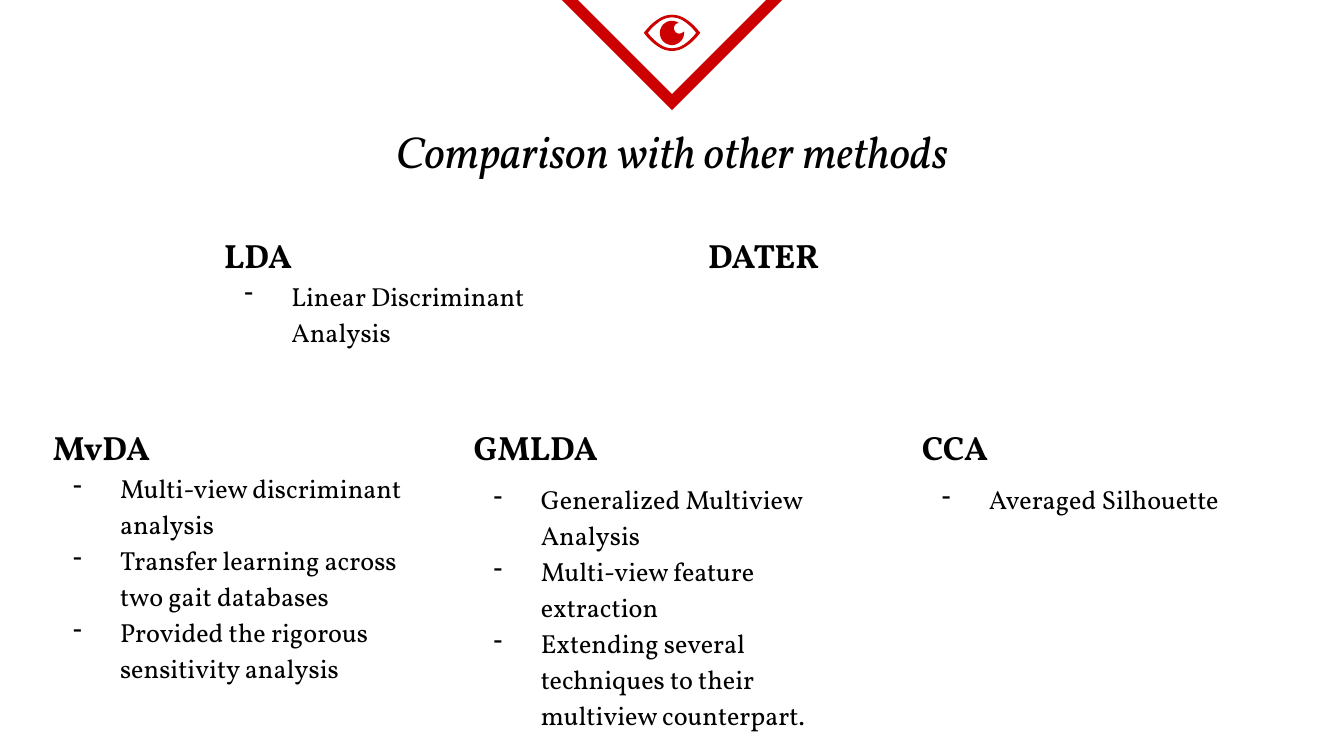
from math import cos, radians, sin

from lxml import etree
from pptx import Presentation
from pptx.dml.color import RGBColor
from pptx.enum.shapes import MSO_SHAPE
from pptx.enum.text import MSO_ANCHOR, PP_ALIGN
from pptx.oxml.ns import qn
from pptx.util import Inches, Pt

TRI = MSO_SHAPE.ISOSCELES_TRIANGLE
TOP = MSO_ANCHOR.TOP
LEFT, MID = PP_ALIGN.LEFT, PP_ALIGN.CENTER

WIDE = 10
HIGH = WIDE * 9 / 16
HUES = {"red": "CC0000", "ink": "000000"}
FACE = "Vollkorn"
FORMS = {
    "title": {"size": Pt(24), "italic": True, "bold": False},
    "head": {"size": Pt(18), "bold": True},
    "item": {"size": Pt(14), "bold": False},
}

# Rows as shares of the height, columns as shares of the width
ROWS = {"upper": 1.605 / HIGH, "lower": 3.035 / HIGH}
COL = 0.288
# row, left, height in inches, space before the list, head, items
CARDS = [
    ("upper", 0.157, 1.43, 0, "LDA", ["Linear Discriminant Analysis"]),
    ("upper", 0.517, 1.43, 0, "DATER", []),
    ("lower", 0.0295, 2.38, 0, "MvDA", [
        "Multi-view discriminant analysis",
        "Transfer learning across two gait databases",
        "Provided the rigorous sensitivity analysis"]),
    ("lower", 0.3425, 2.3, 6, "GMLDA", [
        "Generalized Multiview Analysis",
        "Multi-view feature extraction",
        "Extending several techniques to their multiview counterpart."]),
    ("lower", 0.676, 1.43, 6, "CCA", ["Averaged Silhouette"]),
]
EYE = (WIDE / 2, 0.245)
UNITS = 1000  # freeform units to the inch


def hue(name):
    return RGBColor.from_string(HUES[name])


def add_box(slide, left, top, width, height):
    """Add a wrapping text frame; all lengths are shares of the slide."""
    box = slide.shapes.add_textbox(
        Inches(left * WIDE), Inches(top * HIGH),
        Inches(width * WIDE), Inches(height * HIGH))
    frame = box.text_frame
    looks = {"word_wrap": True, "vertical_anchor": TOP}
    for side in ("left", "right", "top", "bottom"):
        looks["margin_" + side] = Inches(0.1)
    for key, value in looks.items():
        setattr(frame, key, value)
    return frame


def add_dash(para):
    props = para._p.get_or_add_pPr()
    props.set("marL", str(Inches(0.5)))
    props.set("indent", str(-Inches(0.35)))
    tint = etree.SubElement(props, qn("a:buClr"))
    etree.SubElement(tint, qn("a:srgbClr"), val=HUES["ink"])
    etree.SubElement(props, qn("a:buChar"), char="-")


def write(para, text, form, align=LEFT):
    para.alignment = align
    run = para.add_run()
    run.text = text
    for key, value in {"name": FACE, **FORMS[form]}.items():
        setattr(run.font, key, value)
    run.font.color.rgb = hue("ink")


def add_card(slide, row, left, height, gap, head, items):
    frame = add_box(slide, left, ROWS[row], COL, height / HIGH)
    first = frame.paragraphs[0]
    first.line_spacing = 1.15
    write(first, head, "head")
    for place, item in enumerate(items):
        para = frame.add_paragraph()
        para.line_spacing = 1.15
        para.space_before = Pt(0 if place else gap)
        add_dash(para)
        write(para, item, "item")


def add_mark(slide):
    """Red triangle that points down from the top edge."""
    mark = slide.shapes.add_shape(
        TRI, Inches(4.18), Inches(-0.06), Inches(1.64), Inches(0.82))
    mark.rotation = 180
    mark.shadow.inherit = False
    mark.fill.background()
    mark.line.color.rgb = hue("red")
    mark.line.width = Pt(6)
    etree.SubElement(mark.line._ln, qn("a:miter"), lim="800000")


def lens(wide, high, steps=16):
    """Closed outline of two parabolas around the eye's centre."""
    upper = []
    for step in range(steps + 1):
        part = 2 * step / steps - 1
        upper.append((part * wide, -high * (1 - part ** 2)))
    lower = [(x, -y) for x, y in reversed(upper[1:-1])]
    return [(EYE[0] + x, EYE[1] + y) for x, y in upper + lower]


def arc(mid, radius, start, end, steps=40):
    turns = [radians(start + (end - start) * i / steps)
             for i in range(steps + 1)]
    return [(mid[0] + radius * cos(t), mid[1] + radius * sin(t))
            for t in turns]


def add_free(slide, *loops):
    """Fill one outline made of loops given in inches."""
    loops = [[(x * UNITS, y * UNITS) for x, y in loop] for loop in loops]
    pen = slide.shapes.build_freeform(*loops[0][0], scale=Inches(1) / UNITS)
    for place, loop in enumerate(loops):
        if place:
            pen.move_to(*loop[0])
        pen.add_line_segments(loop[1:], close=True)
    shape = pen.convert_to_shape()
    shape.shadow.inherit = False
    shape.fill.solid()
    shape.fill.fore_color.rgb = hue("red")
    shape.line.fill.background()


def add_eye(slide):
    add_free(slide, lens(0.21, 0.135), lens(0.18, 0.115))
    # Pupil with a round glint cut out at the upper right
    glint = (EYE[0] + 0.055, EYE[1] - 0.035)
    add_free(slide, arc(EYE, 0.09, -5, 304) + arc(glint, 0.04, 265, 40))


def main():
    deck = Presentation()
    deck.slide_width, deck.slide_height = Inches(WIDE), Inches(HIGH)
    slide = deck.slides.add_slide(deck.slide_layouts[6])

    # Top mark
    add_mark(slide)

    # Title
    frame = add_box(slide, 0.113, 0.82 / HIGH, 0.774, 0.59 / HIGH)
    write(frame.paragraphs[0], "Comparison with other methods", "title", MID)

    # Methods
    for card in CARDS:
        add_card(slide, *card)

    # Eye icon
    add_eye(slide)
    deck.save("out.pptx")


if __name__ == "__main__":
    main()
